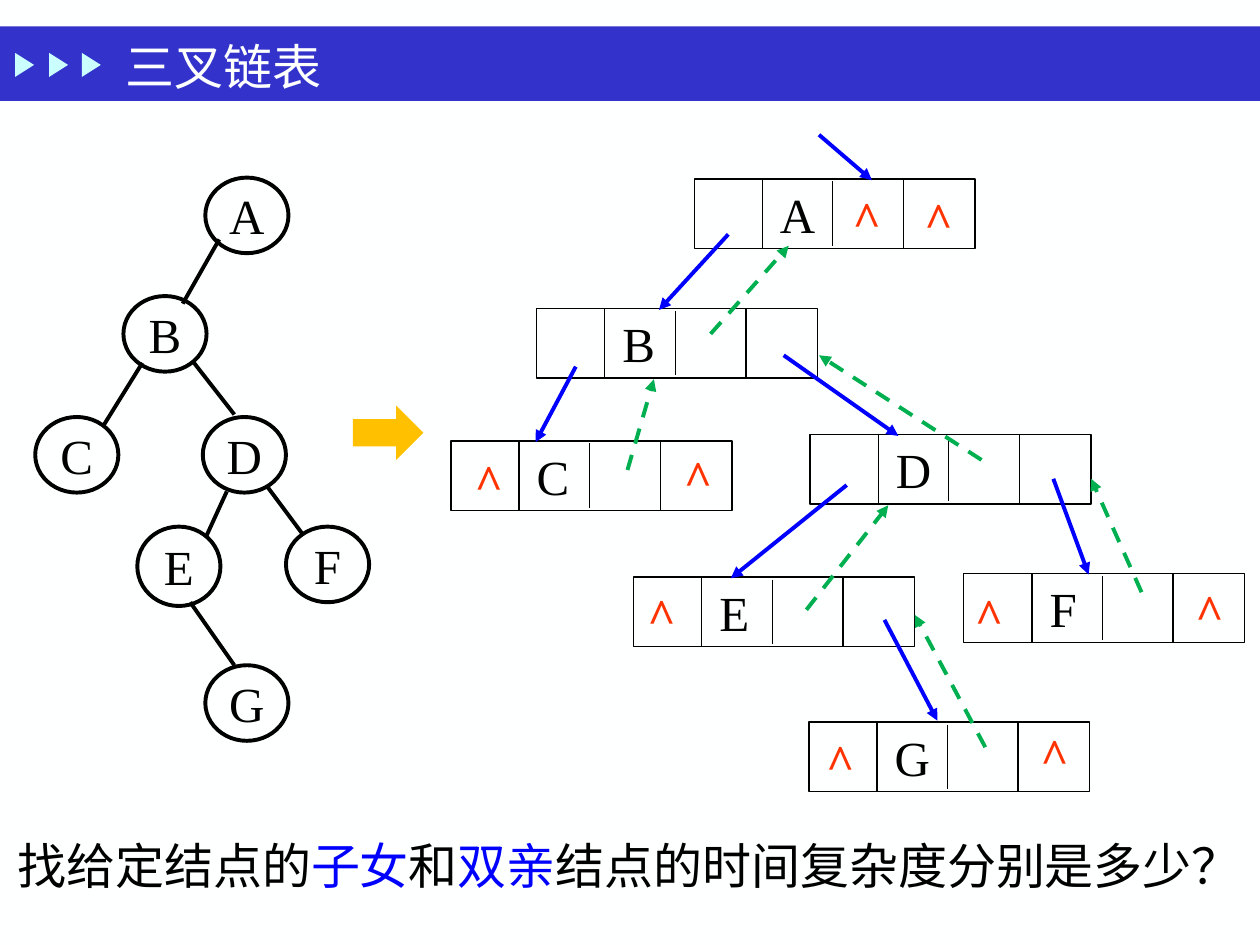
from typing import NamedTuple, Optional

import pptx
import pptx.dml.color
import pptx.enum.dml
import pptx.enum.shapes
import pptx.enum.text
import pptx.oxml
import pptx.oxml.ns
import pptx.util

Inches = pptx.util.Inches
Pt = pptx.util.Pt
SHAPE = pptx.enum.shapes.MSO_SHAPE
ALIGN = pptx.enum.text.PP_ALIGN
MIDDLE = pptx.enum.text.MSO_ANCHOR.MIDDLE

COLORS = {
    "paper": "FEFFFF", "band": "3333CC", "marker": "CBFFFF", "ink": "000000",
    "child": "0000FF", "parent": "00B050", "null": "FF3300", "arrow": "FFC000",
}
LATIN = "Times New Roman"
CJK = "Noto Sans CJK SC"
A_NS = 'xmlns:a="http://schemas.openxmlformats.org/drawingml/2006/main"'
RECORD_W, RECORD_H = 2.23, 0.55
LETTER_INDENT = 0.68
CELL_W = 0.56
FIRST_DIVIDER = 0.54


class Node(NamedTuple):
    """A tree node and its linked record, each placed by its top left corner."""
    letter: str
    x: float
    y: float
    record_x: float
    record_y: float
    height: float = 0.6


class Link(NamedTuple):
    x1: float
    y1: float
    x2: float
    y2: float


class Run(NamedTuple):
    text: str
    color: str = "ink"
    bold: Optional[bool] = None


NODES = [
    Node("A", 1.63, 1.41, 5.51, 1.42),
    Node("B", 0.98, 2.35, 4.26, 2.45),
    Node("C", 0.28, 3.31, 3.58, 3.5),
    Node("D", 1.61, 3.31, 6.43, 3.45),
    Node("E", 1.09, 4.18, 5.03, 4.58, 0.63),
    Node("F", 2.27, 4.18, 7.65, 4.55),
    Node("G", 1.63, 5.28, 6.42, 5.73),
]
TREE_EDGES = [
    Link(1.74, 1.9, 1.45, 2.41), Link(1.13, 2.88, 0.82, 3.38),
    Link(1.54, 2.88, 1.86, 3.29), Link(1.8, 3.9, 1.64, 4.25),
    Link(2.12, 3.86, 2.41, 4.25), Link(1.51, 4.78, 1.86, 5.28),
]
CHILD_LINKS = [
    Link(5.78, 1.86, 5.23, 2.46), Link(4.57, 2.91, 4.25, 3.51),
    Link(6.72, 3.85, 5.8, 4.59), Link(6.22, 2.82, 7.13, 3.46),
    Link(8.36, 3.8, 8.64, 4.56), Link(7.02, 4.92, 7.44, 5.72),
    Link(6.5, 1.07, 6.92, 1.43),
]
PARENT_LINKS = [
    Link(5.64, 2.65, 6.26, 1.95), Link(4.98, 3.73, 5.19, 3.01),
    Link(7.79, 3.65, 6.5, 2.82), Link(6.4, 4.84, 7.05, 4.01),
    Link(7.82, 5.93, 7.26, 4.88), Link(9.06, 4.7, 8.66, 3.8),
]
NULL_MARKS = [
    (6.65, 1.39), (7.22, 1.4), (3.65, 3.48), (5.31, 3.45), (5.02, 4.54),
    (7.62, 4.54), (9.37, 4.51), (6.44, 5.7), (8.14, 5.65),
]
QUESTION = [
    Run("找给定结点的"), Run("子女", "child"), Run("和"),
    Run("双亲", "child"), Run("结点的时间复杂度分别是多少？"),
]


def rgb(name: str) -> pptx.dml.color.RGBColor:
    return pptx.dml.color.RGBColor.from_string(COLORS[name])


def add_text(sp, runs: list[Run], font: str = LATIN, align=ALIGN.LEFT,
             wrap: bool = True) -> None:
    tf = sp.text_frame
    tf.word_wrap = wrap
    tf.vertical_anchor = MIDDLE
    p = tf.paragraphs[0]
    p.alignment = align
    for run in runs:
        r = p.add_run()
        r.text = run.text
        r.font.size = Pt(28)
        r.font.bold = run.bold
        r.font.color.rgb = rgb(run.color)
        r.font.name = font
        r.font._element.append(
            pptx.oxml.parse_xml(f'<a:ea {A_NS} typeface="{CJK}"/>'))


def add_box(s, x: float, y: float, w: float, h: float):
    return s.shapes.add_textbox(Inches(x), Inches(y), Inches(w), Inches(h))


def add_shape(s, kind, x: float, y: float, w: float, h: float,
              fill: Optional[str] = None, line_width: float = 0):
    sp = s.shapes.add_shape(kind, Inches(x), Inches(y), Inches(w), Inches(h))
    sp.shadow.inherit = False
    if fill:
        sp.fill.solid()
        sp.fill.fore_color.rgb = rgb(fill)
    else:
        sp.fill.background()
    if line_width:
        sp.line.color.rgb = rgb("ink")
        sp.line.width = Pt(line_width)
    else:
        sp.line.fill.background()
    return sp


def add_line(s, link: Link, color: str = "ink", width: float = 2.25,
             arrow: bool = False, dashed: bool = False) -> None:
    line = s.shapes.add_connector(
        pptx.enum.shapes.MSO_CONNECTOR.STRAIGHT, *map(Inches, link))
    line.line.color.rgb = rgb(color)
    line.line.width = Pt(width)
    if dashed:
        line.line.dash_style = pptx.enum.dml.MSO_LINE.DASH
    sp_pr = line._element.spPr
    if arrow:
        sp_pr.find(pptx.oxml.ns.qn("a:ln")).append(
            pptx.oxml.parse_xml(f'<a:tailEnd {A_NS} type="triangle"/>'))
    sp_pr.append(pptx.oxml.parse_xml(f"<a:effectLst {A_NS}/>"))


def add_tree_node(s, node: Node) -> None:
    sp = add_shape(s, SHAPE.OVAL, node.x, node.y, 0.66, node.height, line_width=2.25)
    add_text(sp, [Run(node.letter)], align=ALIGN.CENTER, wrap=False)


def add_record(s, node: Node) -> None:
    """Draw the four cells: left child, letter, parent, right child."""
    x, y = node.record_x, node.record_y
    sp = add_shape(s, SHAPE.RECTANGLE, x, y, RECORD_W, RECORD_H, line_width=0.75)
    sp.text_frame.margin_left = Inches(LETTER_INDENT)
    add_text(sp, [Run(node.letter)])
    for i, inset in enumerate((0, 0.02, 0)):
        divider = x + FIRST_DIVIDER + i * CELL_W
        add_line(s, Link(divider, y + inset, divider, y + RECORD_H - inset), width=0.75)


def add_header(s) -> None:
    add_shape(s, SHAPE.RECTANGLE, 0, 0.21, 10, 0.59, fill="band")
    for x in (0.1, 0.37, 0.63):
        add_shape(s, SHAPE.ISOSCELES_TRIANGLE, x, 0.44, 0.19, 0.15, "marker").rotation = 90
    add_text(add_box(s, 0.9, 0.24, 3.49, 0.56), [Run("三叉链表", "paper")])


def main() -> None:
    prs = pptx.Presentation()
    prs.slide_width, prs.slide_height = Inches(10), Inches(7.5)
    s = prs.slides.add_slide(prs.slide_layouts[6])
    s.background.fill.solid()
    s.background.fill.fore_color.rgb = rgb("paper")

    add_header(s)
    for node in NODES:
        add_tree_node(s, node)
    for edge in TREE_EDGES:
        add_line(s, edge)
    for node in NODES:
        add_record(s, node)
    for link in CHILD_LINKS:
        add_line(s, link, "child", arrow=True)
    for link in PARENT_LINKS:
        add_line(s, link, "parent", arrow=True, dashed=True)
    for x, y in NULL_MARKS:
        add_text(add_box(s, x, y, 0.46, 0.66), [Run("^", "null", True)],
                 align=ALIGN.CENTER, wrap=False)
    add_shape(s, SHAPE.RIGHT_ARROW, 2.8, 3.22, 0.56, 0.43, fill="arrow")
    add_text(add_box(s, 0.04, 6.58, 9.99, 0.57), QUESTION, font=CJK)
    prs.save("out.pptx")


if __name__ == "__main__":
    main()
